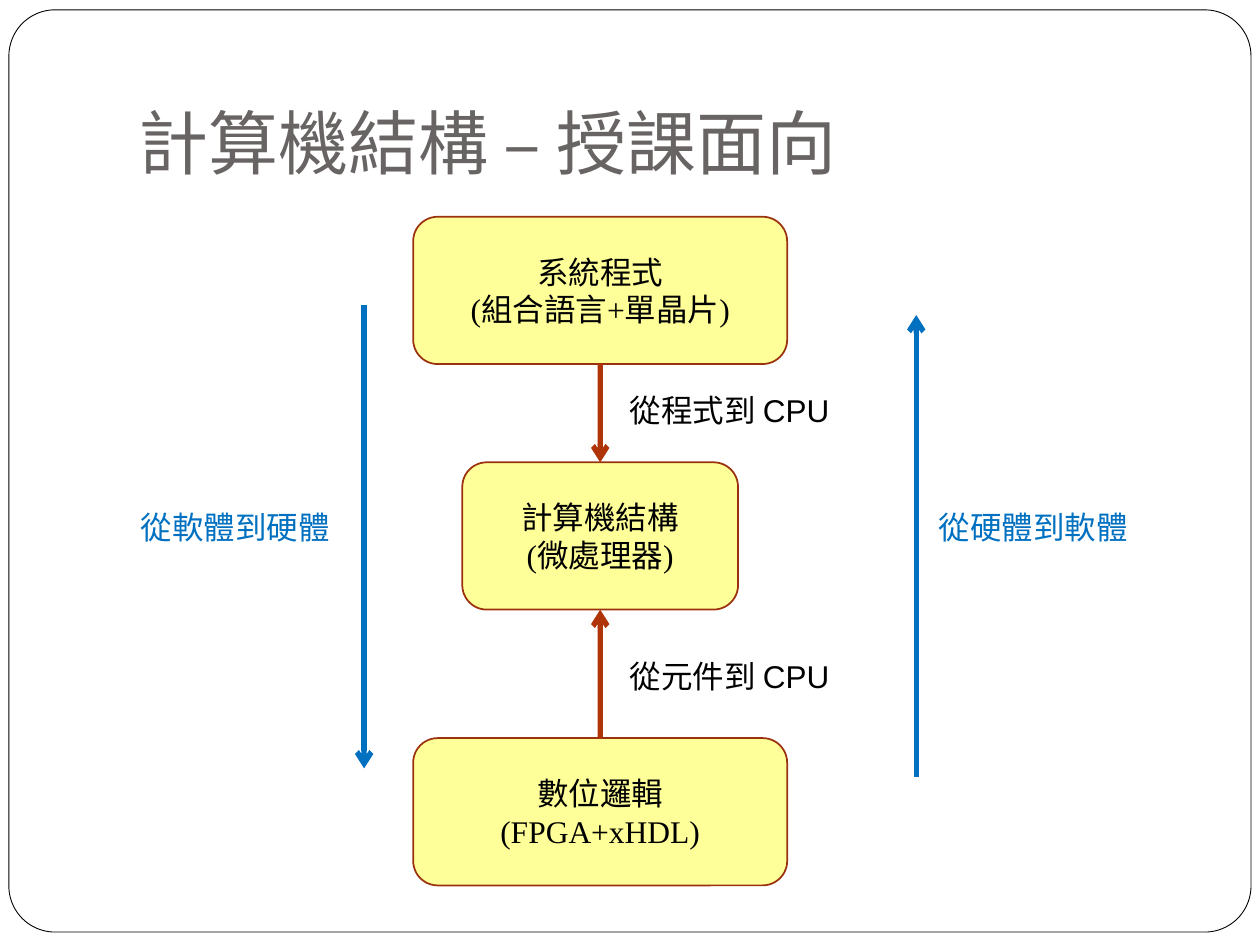
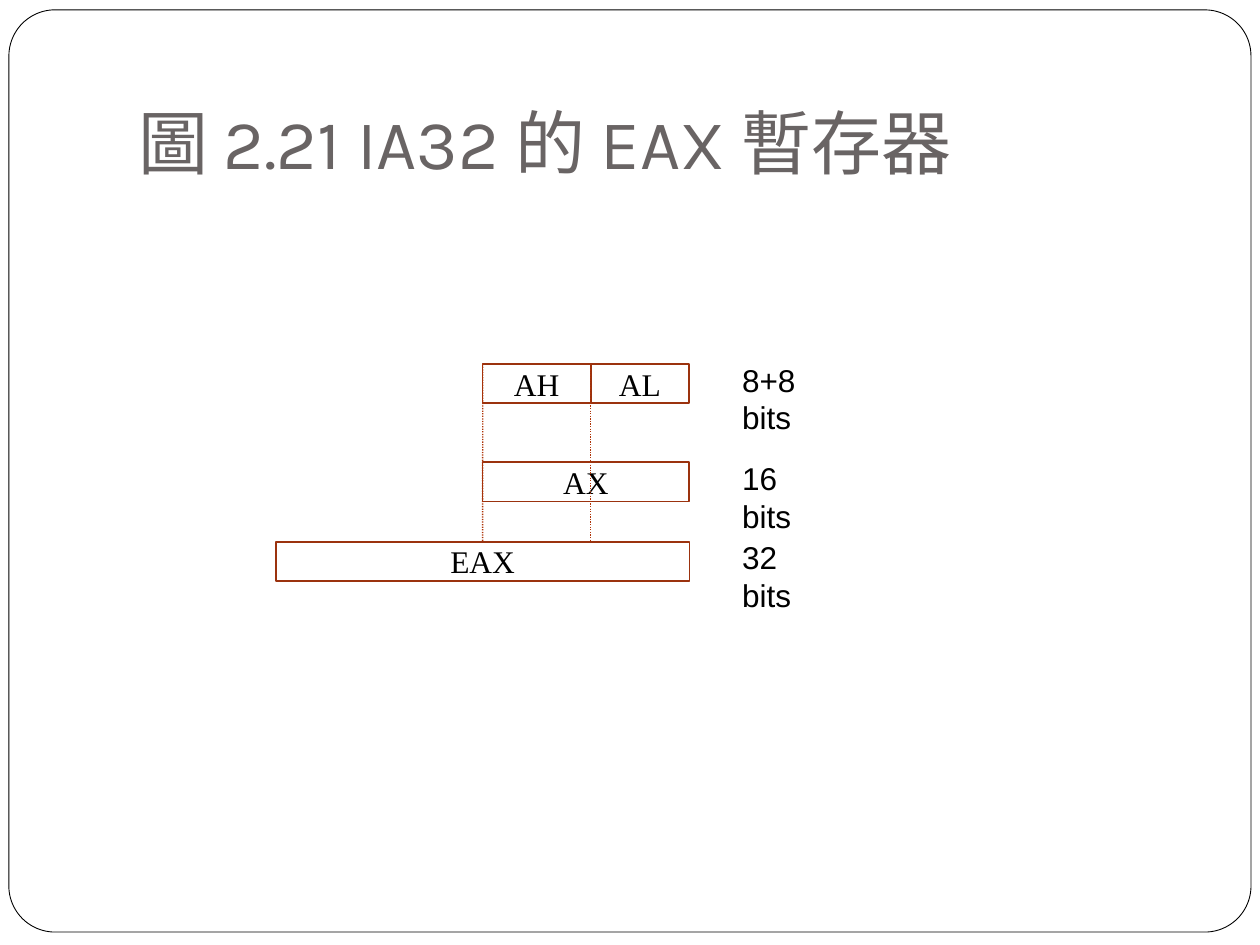
"""Build two slides on computer architecture: teaching scope and the EAX register."""
from dataclasses import dataclass
from typing import Any, Optional

import lxml.etree
import pptx
import pptx.dml.color
import pptx.enum.dml
import pptx.enum.shapes
import pptx.enum.text
import pptx.oxml.ns
import pptx.util

Cm = pptx.util.Cm
Align = pptx.enum.text.PP_ALIGN
Anchor = pptx.enum.text.MSO_ANCHOR
Fit = pptx.enum.text.MSO_AUTO_SIZE
Shape = pptx.enum.shapes.MSO_SHAPE

BLACK, GREY, BLUE = "000000", "696464", "0070C0"
YELLOW, BROWN, RUST = "FFFF99", "9B320E", "AF3408"
TITLE_FONT, BOX_FONT, LABEL_FONT = "Karla", "Times New Roman", "Arial"
TOP, BOTTOM = 0, 2
BOX_HEIGHT, CELL_HEIGHT, LABEL_HEIGHT = 2.97, 0.79, 1.02
CENTRE = 12.1
AX_LEFT, AL_LEFT, CELL_LABEL_LEFT = 9.73, 11.91, 14.71


@dataclass
class Box:
    """A centred, outlined box with one paragraph per line of text."""
    text: str
    left: float
    top: float
    width: float
    height: float
    fill: Optional[str] = None
    kind: Any = Shape.RECTANGLE


@dataclass
class Label:
    """A free-standing caption."""
    text: str
    left: float
    top: float
    width: float
    color: str = BLACK
    wrap: bool = False


@dataclass
class Line:
    """A straight line, optionally with an arrowhead or dots."""
    start: tuple[float, float]
    end: tuple[float, float]
    color: str
    weight: float
    arrow: bool = False
    dotted: bool = False


def rgb(color: str) -> pptx.dml.color.RGBColor:
    """Turn a hex string into a colour."""
    return pptx.dml.color.RGBColor.from_string(color)


def write(holder: Any, text: str, font: str, size: float = 18, color: str = BLACK,
          align: Any = Align.LEFT, anchor: Any = Anchor.TOP, wrap: bool = True,
          fit: Any = Fit.NONE, bottom: float = 0.13) -> None:
    """Fill a shape with formatted text."""
    frame = holder.text_frame
    frame.text = text
    frame.word_wrap, frame.auto_size, frame.vertical_anchor = wrap, fit, anchor
    frame.margin_left = frame.margin_right = Cm(0.25)
    frame.margin_top, frame.margin_bottom = Cm(0.13), Cm(bottom)
    for para in frame.paragraphs:
        para.alignment = align
        for span in para.runs:
            span.font.name, span.font.size = font, pptx.util.Pt(size)
            span.font.color.rgb = rgb(color)


def add_outline(page: Any, box: Box, color: str, weight: float) -> Any:
    """Draw the outlined shape of a box without its text."""
    shape = page.shapes.add_shape(box.kind, Cm(box.left), Cm(box.top),
                                  Cm(box.width), Cm(box.height))
    shape.shadow.inherit = False
    if box.fill:
        shape.fill.solid()
        shape.fill.fore_color.rgb = rgb(box.fill)
    else:
        shape.fill.background()
    shape.line.color.rgb = rgb(color)
    shape.line.width = pptx.util.Pt(weight)
    return shape


def add_box(page: Any, box: Box) -> Any:
    """Draw a box with centred text."""
    shape = add_outline(page, box, BROWN, 1)
    write(shape, box.text, BOX_FONT, align=Align.CENTER, anchor=Anchor.MIDDLE)
    return shape


def add_label(page: Any, label: Label) -> None:
    """Draw a caption."""
    holder = page.shapes.add_textbox(Cm(label.left), Cm(label.top),
                                     Cm(label.width), Cm(LABEL_HEIGHT))
    write(holder, label.text, LABEL_FONT, color=label.color, wrap=label.wrap,
          fit=Fit.SHAPE_TO_FIT_TEXT)


def add_line(page: Any, line: Line) -> Any:
    """Draw a straight connector."""
    connector = page.shapes.add_connector(
        pptx.enum.shapes.MSO_CONNECTOR.STRAIGHT,
        *(Cm(value) for value in line.start + line.end))
    connector.line.color.rgb = rgb(line.color)
    connector.line.width = pptx.util.Pt(line.weight)
    if line.dotted:
        connector.line.dash_style = pptx.enum.dml.MSO_LINE.ROUND_DOT
    qn = pptx.oxml.ns.qn
    properties = connector.element.spPr
    if line.arrow:
        lxml.etree.SubElement(properties.find(qn("a:ln")), qn("a:tailEnd"), type="arrow")
    lxml.etree.SubElement(properties, qn("a:effectLst"))
    return connector


def add_page(deck: Any, title: str) -> Any:
    """Add a title-only slide with the shared title style."""
    page = deck.slides.add_slide(deck.slide_layouts[5])
    holder = page.shapes.title
    holder.left, holder.top = Cm(2.54), Cm(0.76)
    holder.width, holder.height = Cm(21.59), Cm(3.18)
    write(holder, title, TITLE_FONT, size=40, color=GREY, anchor=Anchor.BOTTOM, bottom=0.25)
    return page


def add_frame(page: Any) -> None:
    """Draw the rounded border once and hand it to the layout of the page."""
    frame = add_outline(page, Box("", 0.18, 0.2, 25.04, 18.59, kind=Shape.ROUNDED_RECTANGLE),
                        BLACK, 0.5)
    frame.adjustments[0] = 0.05
    page.slide_layout.shapes.element.insert(2, frame.element)


def build_scope(deck: Any) -> None:
    """Build the slide on the teaching scope."""
    page = add_page(deck, "計算機結構 – 授課面向")
    add_frame(page)
    system, architecture, logic = [
        add_box(page, Box(text, CENTRE - width / 2, top, width, BOX_HEIGHT,
                          YELLOW, Shape.ROUNDED_RECTANGLE))
        for text, top, width in (("系統程式\n(組合語言+單晶片)", 4.37, 7.54),
                                 ("計算機結構\n(微處理器)", 9.32, 5.56),
                                 ("數位邏輯\n(FPGA+xHDL)", 14.88, 7.54))]
    for source, source_side, target_side in ((system, BOTTOM, TOP), (logic, TOP, BOTTOM)):
        arrow = add_line(page, Line((CENTRE, 0), (CENTRE, 1), RUST, 3, arrow=True))
        arrow.begin_connect(source, source_side)
        arrow.end_connect(architecture, target_side)
    for x, start, end in ((7.34, 6.15, 15.49), (18.47, 15.67, 6.35)):
        add_line(page, Line((x, start), (x, end), BLUE, 3, arrow=True))
    for label in (Label("從程式到 CPU", 12.45, 7.75, 4.7),
                  Label("從元件到 CPU", 12.45, 13.11, 4.7),
                  Label("從軟體到硬體", 2.59, 10.11, 4.37, BLUE, wrap=True),
                  Label("從硬體到軟體", 18.67, 10.11, 4.32, BLUE)):
        add_label(page, label)


def build_register(deck: Any) -> None:
    """Build the slide on the parts of the EAX register."""
    page = add_page(deck, "圖 2.21 IA32 的 EAX 暫存器")
    half_top, word_top, full_top = 7.34, 9.32, 10.92
    cells = [add_box(page, Box(text, left, top, width, CELL_HEIGHT))
             for text, left, top, width in (("AH", AX_LEFT, half_top, 2.18),
                                            ("AL", AL_LEFT, half_top, 1.98),
                                            ("AX", AX_LEFT, word_top, 4.16),
                                            ("EAX", 5.56, full_top, 8.34))]
    for text, top, width in (("8+8 bits", half_top, 2.74), ("16 bits", word_top, 2.36),
                             ("32 bits", full_top, 2.36)):
        add_label(page, Label(text, CELL_LABEL_LEFT, top - 0.2, width))
    middle_guide, _ = [add_line(page, Line((x, half_top), (x, full_top), RUST, 0.75, dotted=True))
                       for x in (AX_LEFT, AL_LEFT)]
    middle_guide.end_connect(cells[-1], TOP)


def main() -> None:
    """Build and save the deck."""
    deck = pptx.Presentation()
    deck.slide_width, deck.slide_height = Cm(25.4), Cm(19.05)
    build_scope(deck)
    build_register(deck)
    deck.save("out.pptx")


if __name__ == "__main__":
    main()
